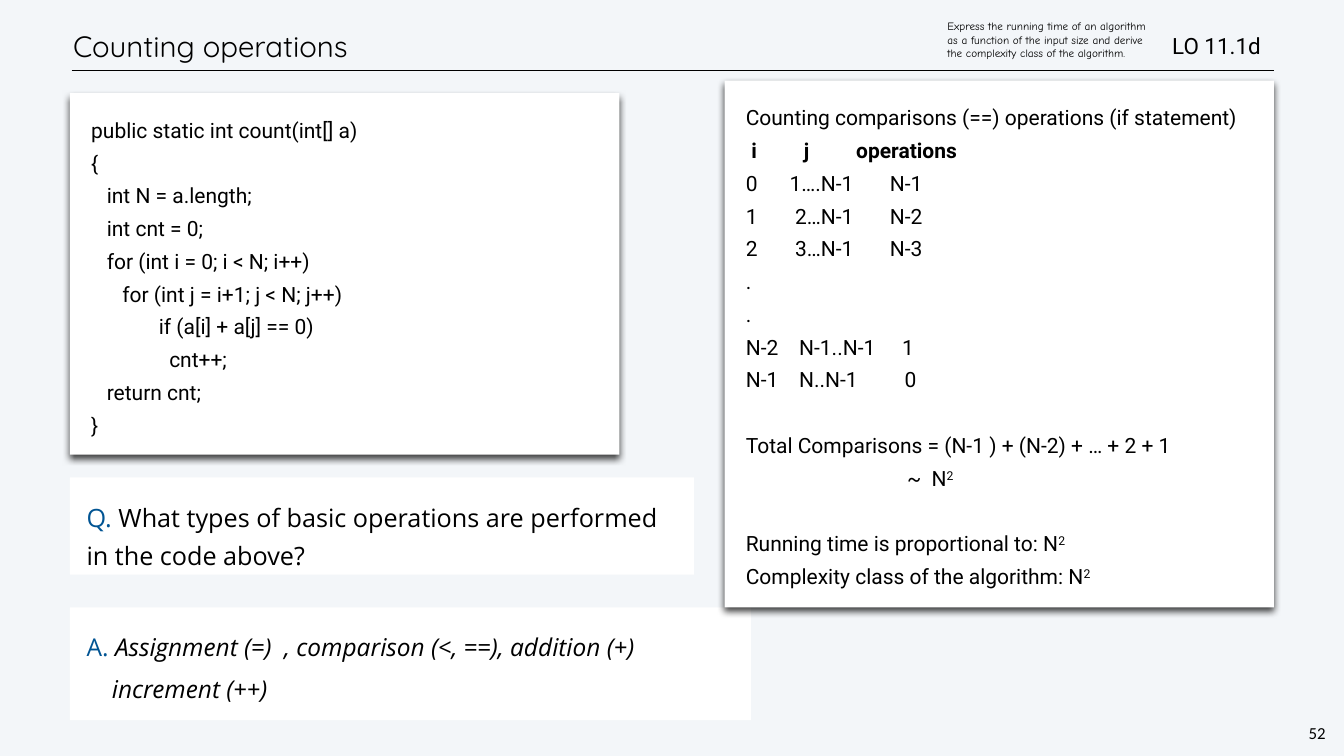
from lxml import etree
from pptx import Presentation
from pptx.dml.color import RGBColor
from pptx.enum.shapes import MSO_CONNECTOR, MSO_SHAPE
from pptx.enum.text import MSO_ANCHOR, PP_ALIGN
from pptx.oxml.ns import qn
from pptx.util import Inches, Pt

STRAIGHT, RECTANGLE = MSO_CONNECTOR.STRAIGHT, MSO_SHAPE.RECTANGLE
TOP, MIDDLE = MSO_ANCHOR.TOP, MSO_ANCHOR.MIDDLE
LEFT, CENTER = PP_ALIGN.LEFT, PP_ALIGN.CENTER

# Slide grid: 96 columns by 60 rows
WIDTH, HEIGHT = 26.67, 15
COL, ROW = WIDTH / 96, HEIGHT / 60
BLACK, WHITE, BLUE, PALE = "000000", "FFFFFF", "005493", "F3F6F9"
LINE_STEP = 47  # points from one panel line to the next

CODE = """public static int count(int[] a)
{
   int N = a.length;
   int cnt = 0;
   for (int i = 0; i < N; i++)
      for (int j = i+1; j < N; j++)
             if (a[i] + a[j] == 0)
               cnt++;
   return cnt;
}""".split("\n")

# Index, inner range, operations, and the tab stops of the row
COUNTS = [
    ("0", "1….N-1", "N-1", (0.87, 2.86)),
    ("1", "2…N-1", "N-2", (0.98, 2.86)),
    ("2", "3…N-1", "N-3", (0.98, 2.86)),
    (".",),
    (".",),
    ("N-2", "N-1..N-1", "1", (1.06, 3.1)),
    ("N-1", "N..N-1", "0", (1.06, 3.15)),
]


def color(value):
    return RGBColor.from_string(value)


def grid(left, top, width, height):
    return Inches(left * COL), Inches(top * ROW), Inches(width * COL), Inches(height * ROW)


def set_frame(frame, inset, anchor):
    frame.word_wrap = True
    frame.vertical_anchor = anchor
    frame.margin_left = frame.margin_top = Inches(inset)
    frame.margin_right = frame.margin_bottom = Inches(inset)


def add_run(paragraph, words, size, font, ink=BLACK, bold=False, italic=False, raised=False):
    run = paragraph.add_run()
    run.text = words
    run.font.size, run.font.name = Pt(size), font
    run.font.bold, run.font.italic = bold, italic
    run.font.color.rgb = color(ink)
    if raised:
        run._r.get_or_add_rPr().set("baseline", "30000")


def next_paragraph(frame):
    first = frame.paragraphs[0]
    paragraph = frame.add_paragraph() if first.runs else first
    paragraph.alignment = LEFT
    return paragraph


def set_tabs(paragraph, stops):
    tabs = etree.SubElement(paragraph._p.get_or_add_pPr(), qn("a:tabLst"))
    for stop in stops:
        etree.SubElement(tabs, qn("a:tab"), pos=str(Inches(stop)), algn="l")


def add_shadow(shape):
    effects = etree.SubElement(shape._element.spPr, qn("a:effectLst"))
    outer = etree.SubElement(effects, qn("a:outerShdw"), blurRad=str(Pt(10)),
                             dist=str(Pt(6)), dir="5400000", rotWithShape="0")
    shade = etree.SubElement(outer, qn("a:srgbClr"), val=BLACK)
    etree.SubElement(shade, qn("a:alpha"), val="75000")


def add_card(slide, box, shadowed=False):
    card = slide.shapes.add_shape(RECTANGLE, *grid(*box))
    card.fill.solid()
    card.fill.fore_color.rgb = color(WHITE)
    card.line.fill.background()
    if shadowed:
        add_shadow(card)
    else:
        card.shadow.inherit = False
    set_frame(card.text_frame, 0.33, TOP)
    return card.text_frame


def add_label(slide, box, words, size, font, anchor=MIDDLE):
    frame = slide.shapes.add_textbox(*grid(*box)).text_frame
    set_frame(frame, 0.06, anchor)
    add_run(next_paragraph(frame), words, size, font)
    return frame


def header(slide, left, top, width, height):
    # Rule under the header
    base = Inches((top + height) * ROW)
    rule = slide.shapes.add_connector(STRAIGHT, Inches((left + 0.11) * COL), base,
                                      Inches((left + width) * COL), base)
    rule.line.color.rgb = color(BLACK)
    rule.line.width = Pt(1)
    etree.SubElement(rule._element.spPr, qn("a:effectLst"))

    # Title
    title = slide.shapes.title
    title.left, title.top, title.width, title.height = grid(
        left, top + 1.08, width * 0.95, height * 0.79)
    set_frame(title.text_frame, 0.06, MIDDLE)
    heading = next_paragraph(title.text_frame)
    heading.line_spacing = Pt(50)
    add_run(heading, "Counting operations", 42, "Quicksand")

    # Learning objective and its code
    add_label(slide, (left + 78.51, top + 1.72, 10.76, 2.6), "LO 11.1d", 32, "Roboto")
    objective = add_label(
        slide, (left + 62.28, top, 15.15, 5.8),
        "Express the running time of an algorithm as a function of the input size "
        "and derive the complexity class of the algorithm.", 16, "Comic Neue")
    objective.margin_left, objective.margin_bottom = Inches(0.11), Inches(0.24)


def question(slide, *box):
    asked = next_paragraph(add_card(slide, box))
    asked.line_spacing = Pt(55)
    add_run(asked, "Q. ", 36, "Open Sans", BLUE)
    add_run(asked, "What types of basic operations are performed in the code above?",
            36, "Open Sans")


def answer(slide, *box):
    frame = add_card(slide, box)
    operations = next_paragraph(frame)
    add_run(operations, "A. ", 35, "Open Sans", BLUE)
    add_run(operations, "Assignment (=)  , comparison (<, ==), addition (+)",
            35, "Open Sans", italic=True)
    increment = next_paragraph(frame)
    increment._p.get_or_add_pPr().set("marL", str(Inches(0.5)))
    increment.space_before = Pt(6)
    add_run(increment, "increment (++)", 35, "Open Sans", italic=True)
    for paragraph in (operations, increment):
        paragraph.line_spacing = Pt(54)


def panel_line(frame, words, stops=(), bold=False, squared=False, gap=False):
    paragraph = next_paragraph(frame)
    paragraph.line_spacing = 1.3
    if gap:
        paragraph.space_before = Pt(LINE_STEP)
    if stops:
        set_tabs(paragraph, stops)
    add_run(paragraph, words, 30, "Roboto", bold=bold)
    if squared:
        add_run(paragraph, "2", 30, "Roboto", raised=True)


def panel(slide, box):
    frame = add_card(slide, box, shadowed=True)
    frame.margin_left = Inches(0.42)
    return frame


def code_panel(slide, *box):
    frame = panel(slide, box)
    for line in CODE:
        panel_line(frame, line)


def counting_panel(slide, *box):
    frame = panel(slide, box)
    panel_line(frame, "Counting comparisons (==) operations (if statement)")
    panel_line(frame, "\ti\tj\toperations", (0.11, 1.15, 2.19), bold=True)
    for row in COUNTS:
        panel_line(frame, "\t".join(row[:3]), row[3] if len(row) > 3 else ())
    # Totals
    panel_line(frame, "Total Comparisons = (N-1 ) + (N-2) + … + 2 + 1", gap=True)
    panel_line(frame, "\t~  N", (3.2,), squared=True)
    panel_line(frame, "Running time is proportional to: N", squared=True, gap=True)
    panel_line(frame, "Complexity class of the algorithm: N", squared=True)


def page_number(slide, *box):
    number = add_label(slide, box, "52", 24, "Calibri", TOP).paragraphs[0]
    number.alignment = CENTER
    number.line_spacing = Pt(28)


def main():
    deck = Presentation()
    deck.slide_width, deck.slide_height = Inches(WIDTH), Inches(HEIGHT)
    slide = deck.slides.add_slide(deck.slide_layouts[5])
    slide.background.fill.solid()
    slide.background.fill.fore_color.rgb = color(PALE)

    header(slide, 5, 0.6, 86, 5)
    question(slide, 5, 37.88, 44.56, 7.72)
    answer(slide, 5, 48.2, 48.63, 8.96)
    code_panel(slide, 5, 7.4, 39.24, 28.68)
    counting_panel(slide, 51.76, 6.4, 39.24, 41.8)
    page_number(slide, 92.58, 57.16, 3, 1.88)
    deck.save("out.pptx")


if __name__ == "__main__":
    main()
